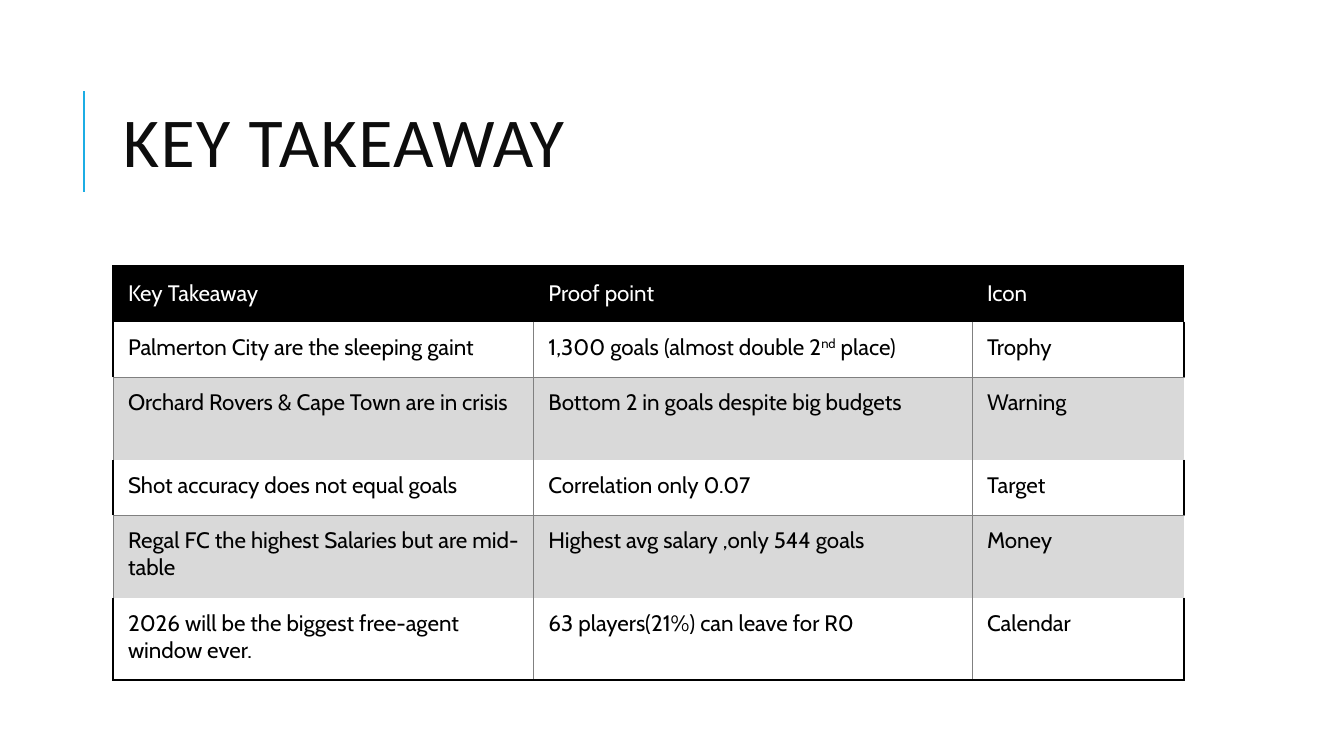
from pptx import Presentation
from pptx.dml.color import RGBColor
from pptx.enum.shapes import MSO_CONNECTOR as Connector
from pptx.enum.text import MSO_ANCHOR as Anchor
from pptx.oxml import parse_xml
from pptx.oxml.ns import nsdecls
from pptx.util import Inches, Pt

# Content: a tuple inside a row is (text, superscript, text)
TITLE = "KEY TAKEAWAY"
ROWS = [
    ("Key Takeaway", "Proof point", "Icon"),
    ("Palmerton City are the sleeping gaint",
     ("1,300 goals (almost double 2", "nd", " place)"), "Trophy"),
    ("Orchard Rovers & Cape Town are in crisis",
     "Bottom 2 in goals despite big budgets", "Warning"),
    ("Shot accuracy does not equal goals", "Correlation only 0.07", "Target"),
    ("Regal FC the highest Salaries but are mid-table",
     "Highest avg salary ,only 544 goals", "Money"),
    ("2026 will be the biggest free-agent window ever.",
     "63 players(21%) can leave for R0", "Calendar"),
]

# Layout in inches
LEFT, WIDTH = 1.12, 10.63
TITLE_TOP, TITLE_HEIGHT = 0.64, 1.64
TABLE_TOP = 2.64
COLUMN_WIDTHS = [4.17, 4.35, 2.1]
ROW_HEIGHTS = [0.55, 0.55, 0.82, 0.55, 0.82, 0.82]
RULE_X, RULE_TOP, RULE_BOTTOM = 0.83, 0.9, 1.9

BLACK, WHITE, BAND, ACCENT, INK = "000000", "FFFFFF", "D9D9D9", "1CADE4", "0D0D0D"
THICK, THIN = (BLACK, 1.5), ("808080", 0.5)


def color(value):
    return RGBColor.from_string(value)


def set_font(paragraph, name, size, value):
    font = paragraph.font
    font.name, font.size, font.bold = name, Pt(size), False
    font.color.rgb = color(value)


def cell_borders(row, column):
    """Return the left, right, top and bottom border of a cell."""
    last_row, last_column = len(ROWS) - 1, len(COLUMN_WIDTHS) - 1
    if row == 0:
        return (None if column else THICK), None, THICK, None
    banded = row % 2 == 0
    left = THIN if column or banded else THICK
    right = THIN if column < last_column else None if banded else THICK
    top = THIN if banded else None
    bottom = THICK if row == last_row else None if banded else THIN
    return left, right, top, bottom


def draw_borders(cell, borders):
    properties = cell._tc.get_or_add_tcPr()
    for side, border in zip("LRTB", borders):
        value, points = border or (BLACK, 0)
        fill = (f'<a:solidFill><a:srgbClr val="{value}"/></a:solidFill>'
                if border else "<a:noFill/>")
        properties.append(parse_xml(
            f'<a:ln{side} {nsdecls("a")} w="{Pt(points)}">{fill}</a:ln{side}>'))


def fill_cell(cell, row, column, content):
    draw_borders(cell, cell_borders(row, column))
    if row % 2:
        cell.fill.background()
    else:
        cell.fill.solid()
        cell.fill.fore_color.rgb = color(BAND if row else BLACK)
    cell.margin_left, cell.margin_right = Inches(0.15), Inches(0.11)
    cell.margin_top = cell.margin_bottom = Inches(0.12)
    cell.vertical_anchor = Anchor.TOP if row else Anchor.MIDDLE
    paragraph = cell.text_frame.paragraphs[0]
    set_font(paragraph, "Cabin", 16, BLACK if row else WHITE)
    parts = (content,) if isinstance(content, str) else content
    for index, part in enumerate(parts):
        run = paragraph.add_run()
        run.text = part
        if index == 1:
            run._r.get_or_add_rPr().set("baseline", "30000")


presentation = Presentation()
presentation.slide_width, presentation.slide_height = Inches(13.33), Inches(7.5)
slide = presentation.slides.add_slide(presentation.slide_layouts[6])

# Accent line beside the title
rule = slide.shapes.add_connector(
    Connector.STRAIGHT, Inches(RULE_X), Inches(RULE_BOTTOM),
    Inches(RULE_X), Inches(RULE_TOP))
rule.line.color.rgb = color(ACCENT)
rule.line.width = Pt(1.5)
rule._element.spPr.append(parse_xml(f'<a:effectLst {nsdecls("a")}/>'))

# Title
title = slide.shapes.add_textbox(
    Inches(LEFT), Inches(TITLE_TOP), Inches(WIDTH), Inches(TITLE_HEIGHT))
title.text_frame.word_wrap = True
title.text_frame.vertical_anchor = Anchor.MIDDLE
heading = title.text_frame.paragraphs[0]
heading.line_spacing = 0.8
set_font(heading, "Calibri", 50, INK)
heading_run = heading.add_run()
heading_run.text = TITLE
heading_run._r.get_or_add_rPr().set("spc", "100")

# Table
table = slide.shapes.add_table(
    len(ROWS), len(COLUMN_WIDTHS), Inches(LEFT), Inches(TABLE_TOP),
    Inches(WIDTH), Inches(sum(ROW_HEIGHTS))).table
table.horz_banding = False
for table_column, width in zip(table.columns, COLUMN_WIDTHS):
    table_column.width = Inches(width)
for table_row, height in zip(table.rows, ROW_HEIGHTS):
    table_row.height = Inches(height)
for row, contents in enumerate(ROWS):
    for column, content in enumerate(contents):
        fill_cell(table.cell(row, column), row, column, content)

presentation.save("out.pptx")
